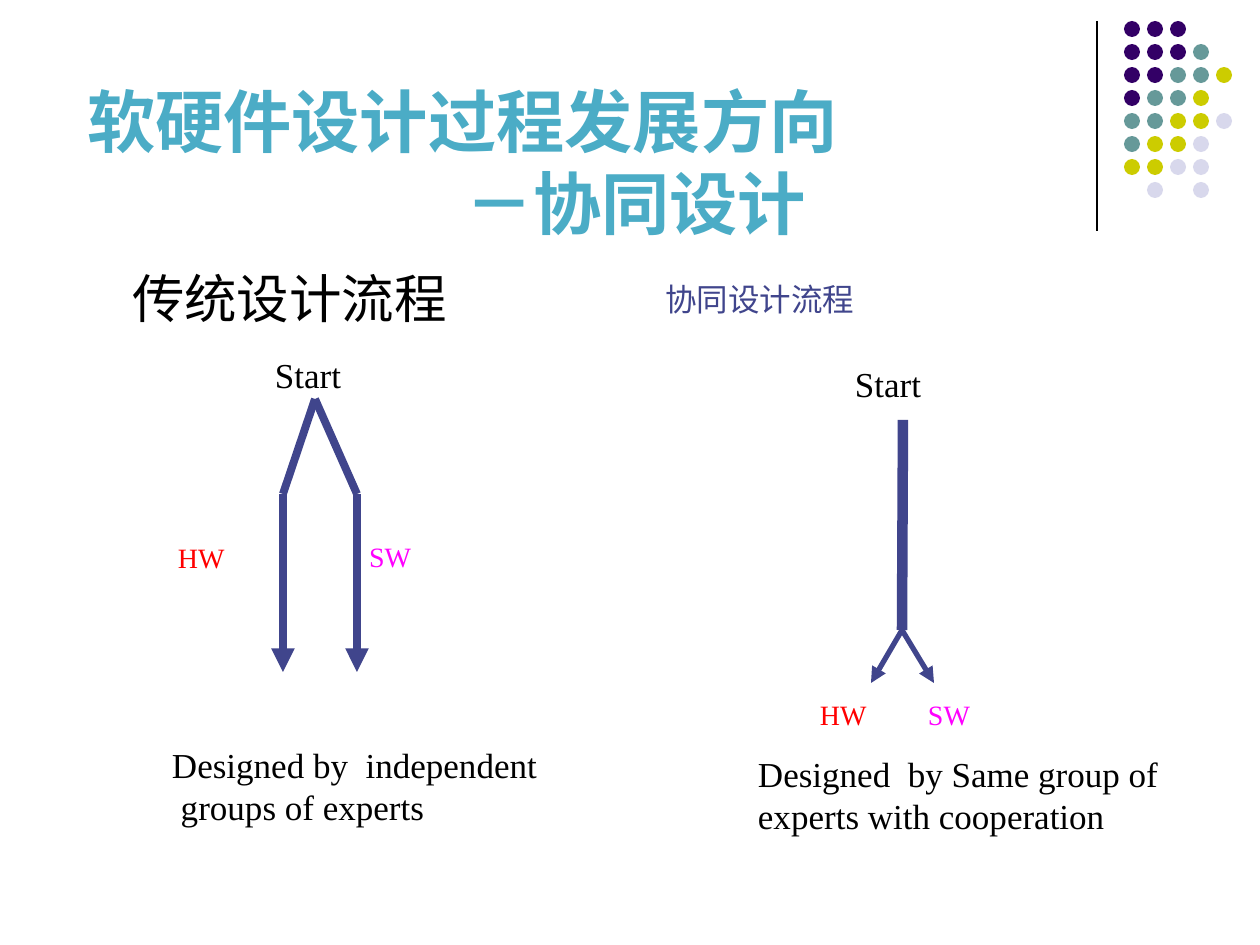
from lxml import etree
from pptx import Presentation
from pptx.dml.color import RGBColor
from pptx.enum.shapes import MSO_CONNECTOR, MSO_SHAPE
from pptx.enum.text import MSO_ANCHOR
from pptx.oxml.ns import qn
from pptx.util import Emu, Pt

LINE, OVAL = MSO_CONNECTOR.STRAIGHT, MSO_SHAPE.OVAL
MIDDLE, BOTTOM = MSO_ANCHOR.MIDDLE, MSO_ANCHOR.BOTTOM
SERIF, HAN = "Times New Roman", "Noto Sans CJK SC"
BLACK, BLUE, CYAN = "000000", "40458C", "4BACC6"
RED, PINK = "FF0000", "FF00FF"
TONES = {"P": "330066", "T": "669999", "Y": "CCCC00", "L": "D8D8EC"}
DOTS = ["PPP", "PPPT", "PPTTY", "PTTY", "TTYYL", "TYYL", "YYLL", " L L"]


def px(n):
    """Turn pixels into EMU."""
    return Emu(round(n * 914400 / 126))


def rgb(code):
    """Turn a hex string into a colour."""
    return RGBColor.from_string(code)


def write(slide, box, text, size, color, font=SERIF, bold=False, anchor=MIDDLE):
    """Add a text box without insets and return its frame."""
    frame = slide.shapes.add_textbox(*map(px, box)).text_frame
    frame.word_wrap = True
    frame.vertical_anchor = anchor
    frame.margin_left = frame.margin_right = 0
    frame.margin_top = frame.margin_bottom = 0
    frame.text = text
    for para in frame.paragraphs:
        for run in para.runs:
            run.font.size, run.font.bold = Pt(size), bold
            run.font.name = font
            run.font.color.rgb = rgb(color)
            east = etree.SubElement(run.font._element, qn("a:ea"))
            east.set("typeface", HAN)
    return frame


def draw(slide, ends, width, color=BLUE, arrow=False):
    """Add a straight line, with an arrowhead at its end if asked."""
    line = slide.shapes.add_connector(LINE, *map(px, ends))
    line.line.color.rgb = rgb(color)
    line.line.width = Pt(width)
    if arrow:
        tail = etree.SubElement(line.line._get_or_add_ln(), qn("a:tailEnd"))
        tail.set("type", "triangle")
    etree.SubElement(line._element.spPr, qn("a:effectLst"))


def add_dots(slide, x, y):
    """Place the rule and the grid of dots in the corner."""
    draw(slide, (x, y, x, y + 210), 0.75, BLACK)
    for row, tones in enumerate(DOTS):
        for col, tone in enumerate(tones):
            if tone in TONES:
                spot = (x + 27 + 23 * col, y + 23 * row, 16, 16)
                dot = slide.shapes.add_shape(OVAL, *map(px, spot))
                dot.fill.solid()
                dot.fill.fore_color.rgb = rgb(TONES[tone])
                dot.line.fill.background()
                dot.shadow.inherit = False


def add_title(slide, x, y):
    """Place the two title lines, the second one indented."""
    text = "软硬件设计过程发展方向\n－协同设计"
    frame = write(slide, (x, y, 1000, 243), text, 39, CYAN, bold=True, anchor=BOTTOM)
    for para in frame.paragraphs:
        para.line_spacing = Pt(47)
    frame.paragraphs[1]._p.get_or_add_pPr().set("marL", str(px(378)))


def add_old(slide, x, y):
    """Place the flow that splits right at the start."""
    write(slide, (x + 19, y, 500, 76), "传统设计流程", 30, BLACK, HAN)
    write(slide, (x + 162, y + 90, 90, 49), "Start", 20, BLACK)
    for dx in (170, 244):
        draw(slide, (x + 202, y + 139, x + dx, y + 234), 4.5)
        draw(slide, (x + dx, y + 234, x + dx, y + 412), 4.5, arrow=True)
    write(slide, (x + 65, y + 277, 87, 40), "HW", 16, RED)
    write(slide, (x + 256, y + 276, 55, 40), "SW", 16, PINK)
    text = "Designed by  independent\n groups of experts"
    write(slide, (x + 59, y + 481, 397, 89), text, 20, BLACK)


def add_new(slide, x, y):
    """Place the flow that splits only at the end."""
    write(slide, (x + 15, y, 500, 70), "协同设计流程", 18, BLUE, HAN)
    write(slide, (x + 205, y + 95, 90, 49), "Start", 20, BLACK)
    for dx in (221, 284):
        draw(slide, (x + 252, y + 366, x + dx, y + 419), 3, arrow=True)
    draw(slide, (x + 252, y + 366, x + 253, y + 156), 6)
    write(slide, (x + 170, y + 430, 62, 40), "HW", 16, RED)
    write(slide, (x + 278, y + 430, 55, 40), "SW", 16, PINK)
    text = "Designed  by Same group of\nexperts with cooperation"
    write(slide, (x + 108, y + 486, 437, 89), text, 20, BLACK)


def main():
    """Build the slide and save it."""
    deck = Presentation()
    deck.slide_width, deck.slide_height = px(1260), px(945)
    slide = deck.slides.add_slide(deck.slide_layouts[6])
    add_dots(slide, 1097, 21)
    add_old(slide, 113, 260)
    add_new(slide, 650, 264)
    add_title(slide, 87, 0)
    deck.save("out.pptx")


if __name__ == "__main__":
    main()
